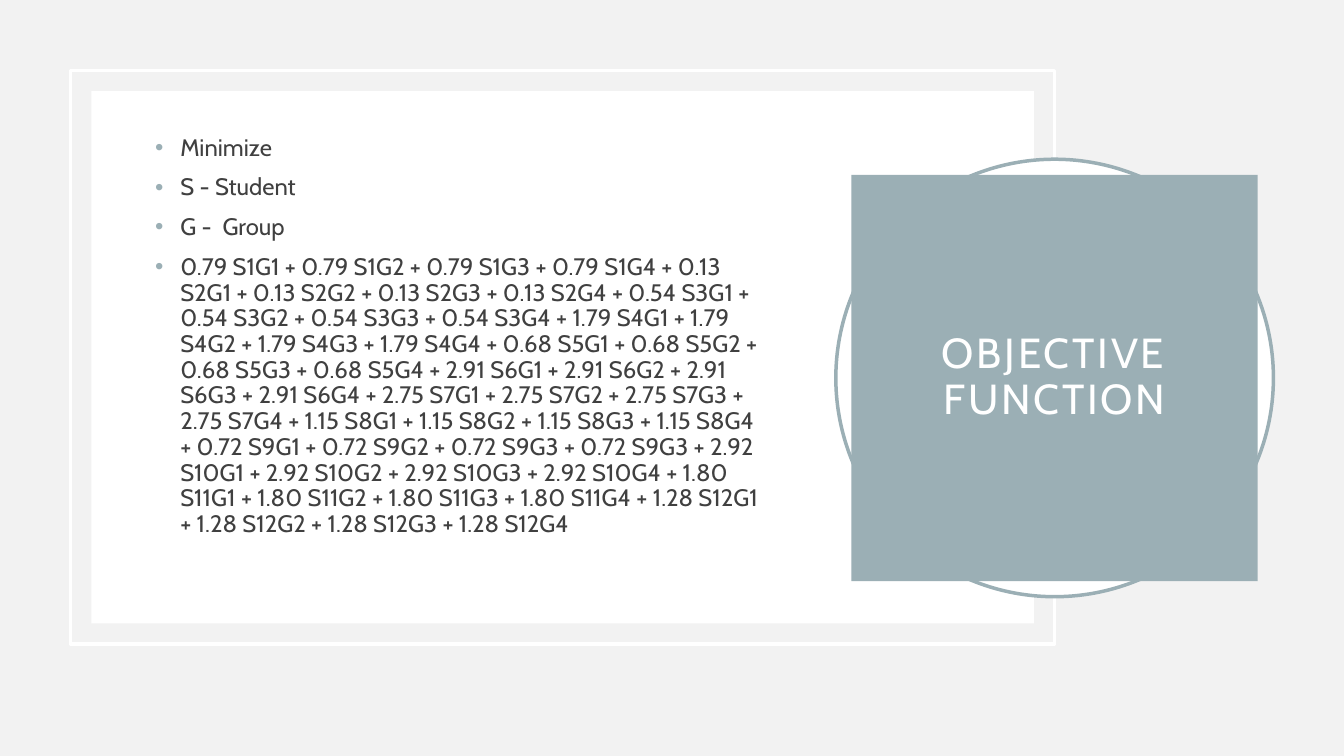
from lxml import etree
from pptx import Presentation
from pptx.dml.color import RGBColor
from pptx.enum import shapes, text
from pptx.oxml.ns import qn
from pptx.util import Inches, Pt

GREY = RGBColor(0xF2, 0xF2, 0xF2)
WHITE = RGBColor(0xFF, 0xFF, 0xFF)
TEAL = RGBColor(0x9B, 0xAF, 0xB5)
INK = RGBColor(0x40, 0x40, 0x40)
FONT = "Cabin"
RECT = shapes.MSO_SHAPE.RECTANGLE
OVAL = shapes.MSO_SHAPE.OVAL

COSTS = ["0.79", "0.13", "0.54", "1.79", "0.68", "2.91",
         "2.75", "1.15", "0.72", "2.92", "1.80", "1.28"]
GROUPS = {9: (1, 2, 3, 3)}


def formula():
    return " + ".join(f"{cost} S{s}G{g}" for s, cost in enumerate(COSTS, 1)
                      for g in GROUPS.get(s, (1, 2, 3, 4)))


def add_form(slide, kind, box, fill=None, line=None):
    form = slide.shapes.add_shape(kind, *map(Inches, box))
    form.shadow.inherit = False
    if fill is None:
        form.fill.background()
    else:
        form.fill.solid()
        form.fill.fore_color.rgb = fill
    if line is None:
        form.line.fill.background()
    else:
        form.line.color.rgb = line
        form.line.width = Pt(2.5)
    return form


def inset(box, gap):
    """Shrink a box by the same gap on every side."""
    left, top, width, height = box
    return left + gap, top + gap, width - 2 * gap, height - 2 * gap


def set_run(par, words, size, color):
    run = par.add_run()
    run.text = words
    for name, value in {"name": FONT, "size": Pt(size)}.items():
        setattr(run.font, name, value)
    run.font.color.rgb = color
    return run


def add_bullet(par):
    props = par._p.get_or_add_pPr()
    props.set("marL", str(Inches(0.25)))
    props.set("indent", str(-Inches(0.25)))
    tint = etree.SubElement(props, qn("a:buClr"))
    etree.SubElement(tint, qn("a:srgbClr")).set("val", str(TEAL))
    etree.SubElement(props, qn("a:buFont")).set("typeface", "Arial")
    etree.SubElement(props, qn("a:buChar")).set("char", "•")


def add_panel(slide, box, lines):
    """Framed white panel with a bulleted list."""
    left, top, width, height = box
    add_form(slide, RECT, box, line=WHITE)
    add_form(slide, RECT, inset(box, 0.205), fill=WHITE)
    area = (left + 0.74, top + 0.5, 6.25, 4.28)
    frame = slide.shapes.add_textbox(*map(Inches, area)).text_frame
    frame.word_wrap = True
    frame.vertical_anchor = text.MSO_ANCHOR.MIDDLE
    for i, words in enumerate(lines):
        par = frame.add_paragraph() if i else frame.paragraphs[0]
        par.line_spacing = 0.9
        par.space_before = Pt(10)
        add_bullet(par)
        set_run(par, words, 17, INK)


def add_badge(slide, box, words):
    """Ringed title block."""
    add_form(slide, OVAL, box, fill=WHITE, line=TEAL)
    frame = add_form(slide, RECT, inset(box, 0.155), fill=TEAL).text_frame
    for side in ("left", "top", "right", "bottom"):
        setattr(frame, f"margin_{side}", Inches(0.2))
    frame.word_wrap = True
    frame.vertical_anchor = text.MSO_ANCHOR.MIDDLE
    par = frame.paragraphs[0]
    par.alignment = text.PP_ALIGN.CENTER
    par.line_spacing = 0.9
    run = set_run(par, words, 30, WHITE)
    run.font._element.set("spc", "200")


def main():
    deck = Presentation()
    deck.slide_width, deck.slide_height = Inches(13.33), Inches(7.5)
    slide = deck.slides.add_slide(deck.slide_layouts[6])
    slide.background.fill.solid()
    slide.background.fill.fore_color.rgb = GREY
    lines = ["Minimize", "S - Student", "G -  Group", formula()]
    add_panel(slide, (0.7, 0.7, 9.76, 5.69), lines)
    add_badge(slide, (8.29, 1.58, 4.34, 4.34), "OBJECTIVE FUNCTION")
    deck.save("out.pptx")


if __name__ == "__main__":
    main()
